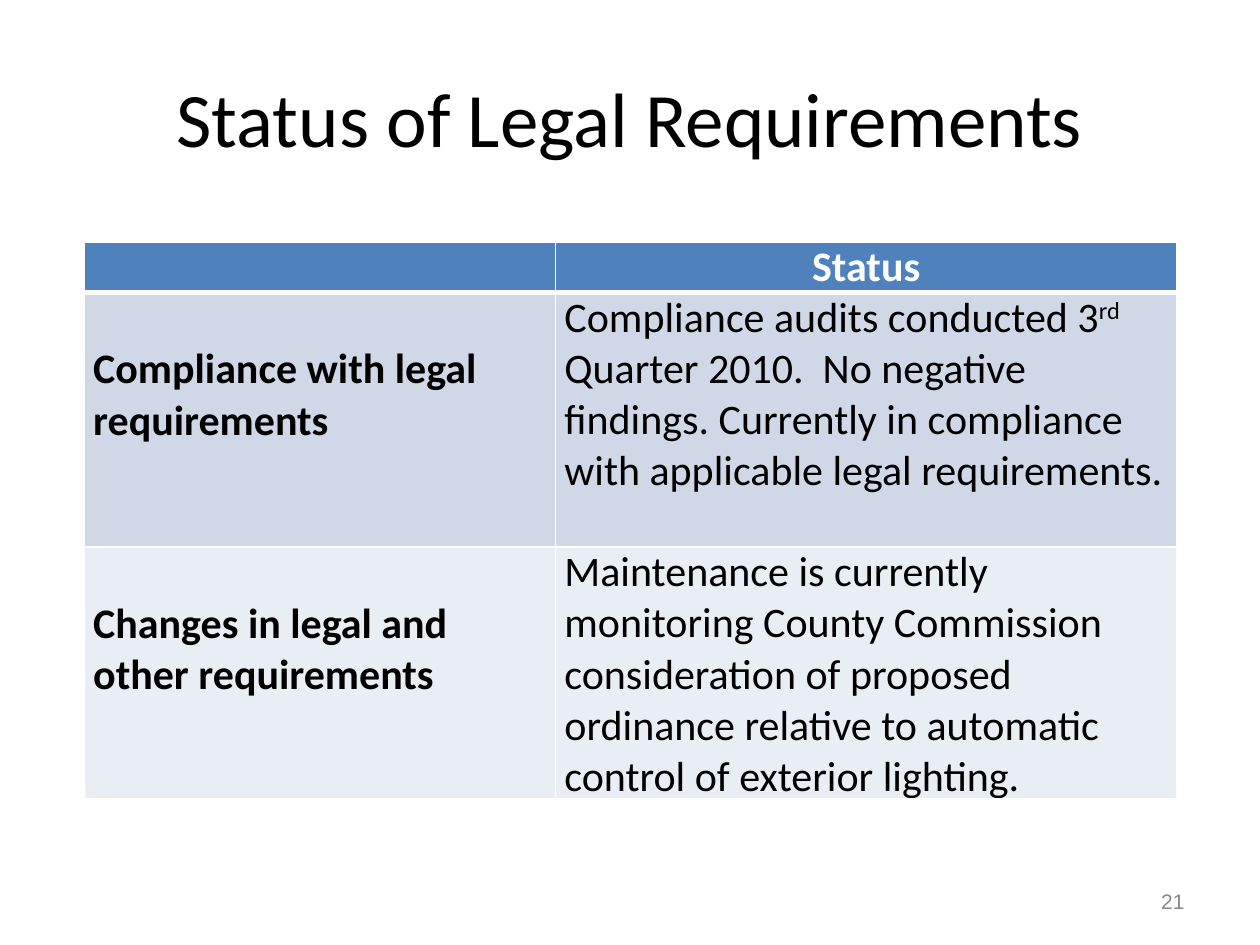
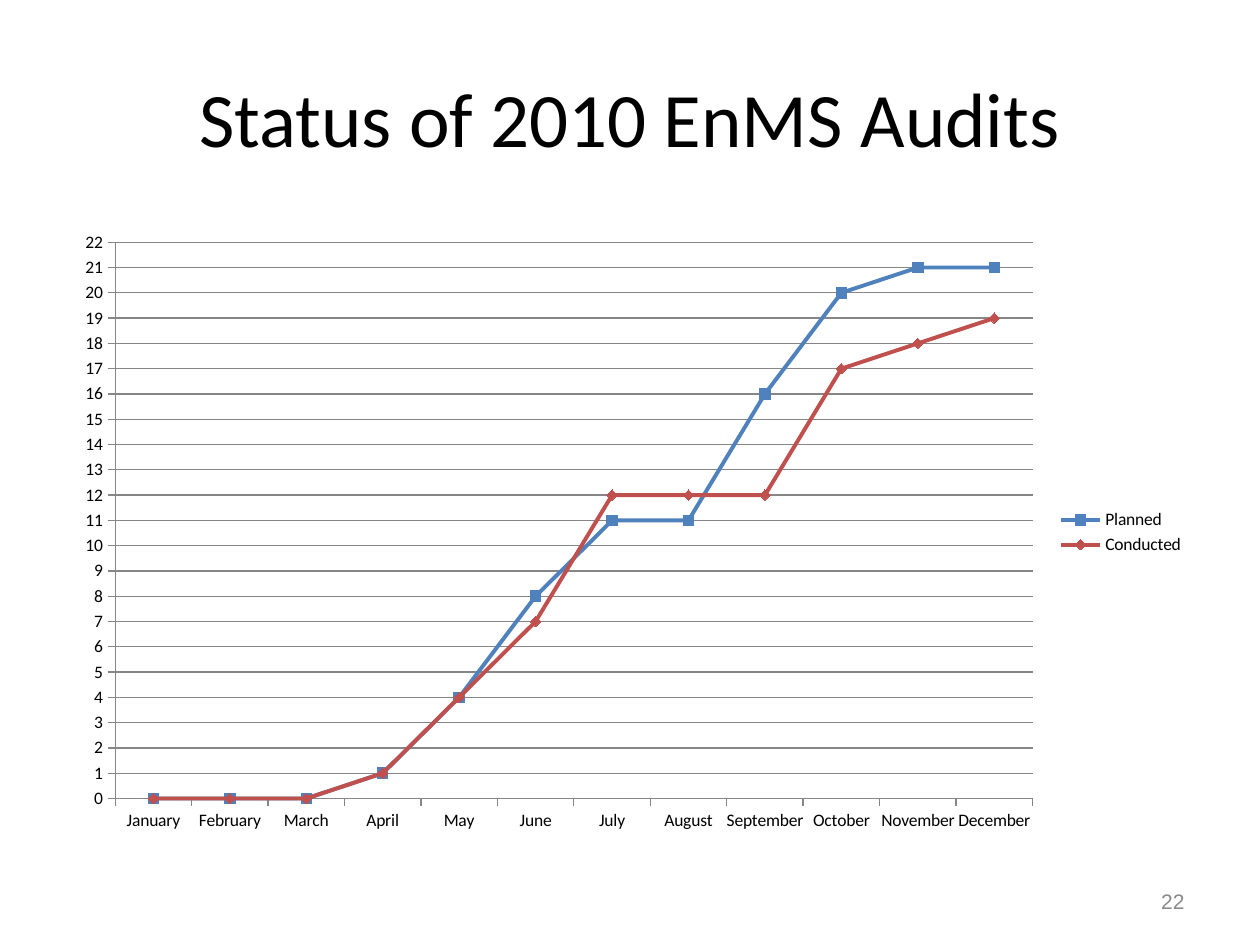
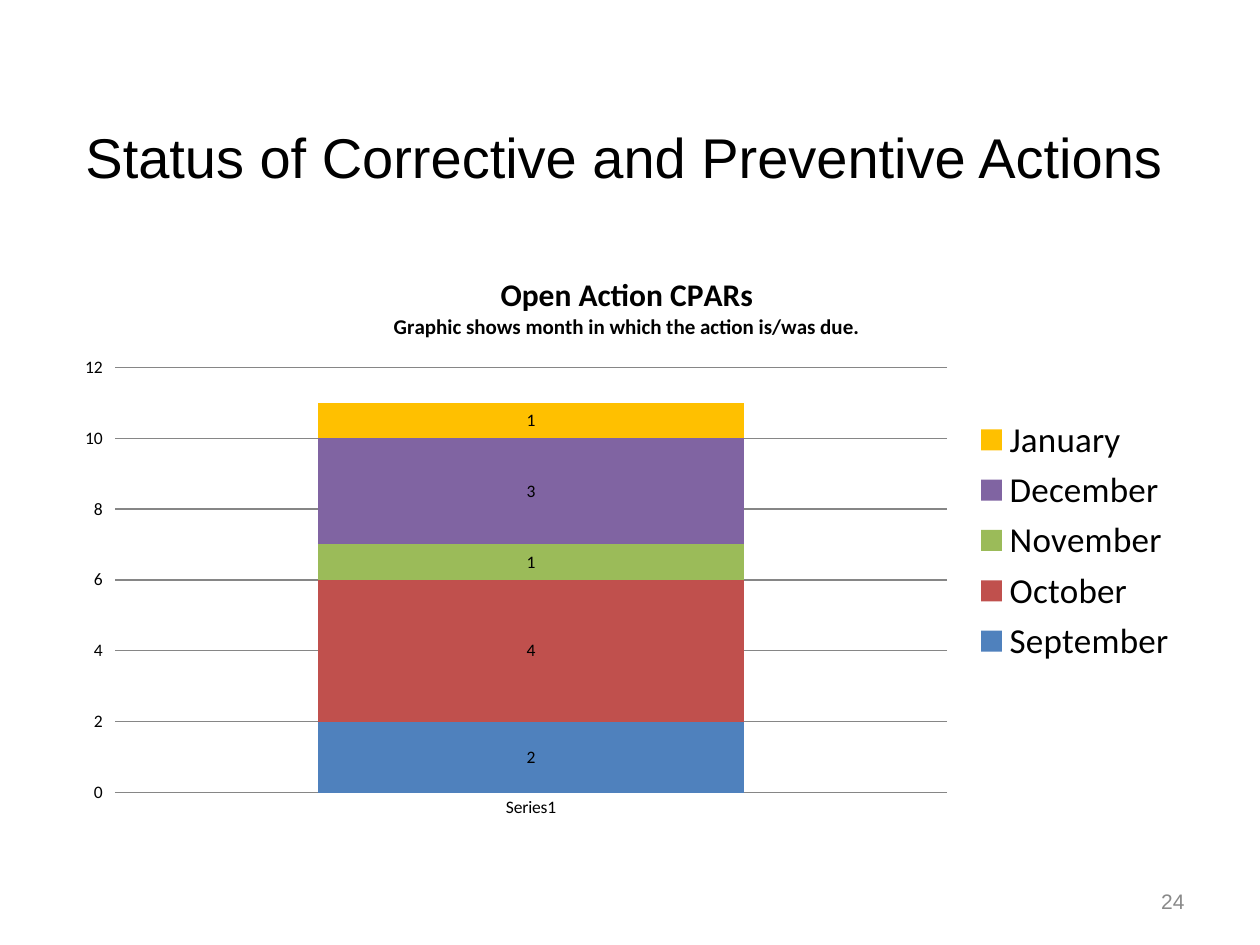
from dataclasses import dataclass

from lxml.etree import SubElement
from pptx import Presentation
from pptx.chart.data import CategoryChartData
from pptx.dml.color import RGBColor
from pptx.enum.chart import (XL_CHART_TYPE, XL_LABEL_POSITION, XL_LEGEND_POSITION,
                             XL_MARKER_STYLE, XL_TICK_MARK)
from pptx.enum.text import MSO_ANCHOR, PP_ALIGN
from pptx.oxml import parse_xml
from pptx.oxml.ns import nsdecls, qn
from pptx.util import Inches, Pt


# Theme
@dataclass(frozen=True)
class Theme:
    font: str = "Calibri"
    alt_font: str = "Arial"
    text: str = "000000"
    white: str = "FFFFFF"
    muted: str = "898989"
    grid: str = "868686"
    blue: str = "4F81BD"
    red: str = "C0504D"
    green: str = "9BBB59"
    purple: str = "8064A2"
    amber: str = "FFC000"
    bands: tuple = ("D0D8E8", "E9EDF4")
    title: int = 44
    small_title: int = 32
    table: int = 24
    legend: int = 20
    chart_title: int = 18
    footer: int = 12
    chart: int = 10


T = Theme()

# Content
LEGAL_TITLE = "Status of Legal Requirements"
LEGAL_HEADER = "Status"
LEGAL_ROWS = [  # label, status as (text, superscript) runs
    ("Compliance with legal requirements",
     [("Compliance audits conducted 3", False), ("rd", True),
      (" Quarter 2010.  No negative findings. Currently in compliance "
       "with applicable legal requirements.", False)]),
    ("Changes in legal and other requirements",
     [("Maintenance is currently monitoring County Commission consideration of "
       "proposed ordinance relative to automatic control of exterior lighting.", False)]),
]
COL_WIDTHS = (3.74, 4.93)
ROW_HEIGHTS = (0.4, 2.02, 2)

AUDIT_TITLE = "Status of 2010 EnMS Audits"
MONTHS = ["January", "February", "March", "April", "May", "June", "July",
          "August", "September", "October", "November", "December"]
AUDITS = [
    ("Planned", [0, 0, 0, 1, 4, 8, 11, 11, 16, 20, 21, 21], T.blue, XL_MARKER_STYLE.SQUARE),
    ("Conducted", [0, 0, 0, 1, 4, 7, 12, 12, 12, 17, 18, 19], T.red, XL_MARKER_STYLE.DIAMOND),
]

ACTION_TITLE = "Status of Corrective and Preventive Actions"
ACTION_CHART_TITLE = [
    ("Open Action CPARs", T.chart_title),
    ("Graphic shows month in which the action is/was due.", T.footer),
]
ACTIONS = [("September", 2, T.blue), ("October", 4, T.red), ("November", 1, T.green),
           ("December", 3, T.purple), ("January", 1, T.amber)]


# Helpers
def rgb(value):
    return RGBColor.from_string(value)


def set_font(font, size, color=T.text, name=T.font, bold=False):
    font.name, font.size, font.bold = name, Pt(size), bold
    font.color.rgb = rgb(color)


def add_text(slide, box, text, size, color=T.text, name=T.font, align=PP_ALIGN.CENTER,
             anchor=MSO_ANCHOR.MIDDLE, wrap=True):
    tf = slide.shapes.add_textbox(*map(Inches, box)).text_frame
    tf.word_wrap, tf.vertical_anchor = wrap, anchor
    p = tf.paragraphs[0]
    p.text, p.alignment = text, align
    set_font(p.font, size, color, name)


def add_title(slide, text):
    add_text(slide, (0.5, 0.3, 9, 1.25), text, T.title)


def add_slide(number):
    slide = prs.slides.add_slide(prs.slide_layouts[6])
    add_text(slide, (7.17, 6.95, 2.33, 0.4), str(number), T.footer, T.muted,
             T.alt_font, PP_ALIGN.RIGHT)
    return slide


def style_cell(cell, fill, top=1, bottom=1):
    tc_pr = cell._tc.get_or_add_tcPr()
    for side, width in (("L", 1), ("R", 1), ("T", top), ("B", bottom)):
        ln = SubElement(tc_pr, qn(f"a:ln{side}"), w=str(Pt(width)))
        SubElement(SubElement(ln, qn("a:solidFill")), qn("a:srgbClr"), val=T.white)
    cell.fill.solid()
    cell.fill.fore_color.rgb = rgb(fill)
    cell.margin_left = cell.margin_right = Inches(0.07)
    cell.margin_top = cell.margin_bottom = 0


def write_cell(cell, runs, color=T.text, bold=False):
    p = cell.text_frame.paragraphs[0]
    set_font(p.font, T.table, color, bold=bold)
    for text, raised in runs:
        r = p.add_run()
        r.text = text
        set_font(r.font, T.table, color, bold=bold)
        if raised:
            r._r.get_or_add_rPr().set("baseline", "30000")
    return p


def add_chart(slide, kind, box, categories, series, plot_box, top, step):
    data = CategoryChartData()
    data.categories = categories
    for name, values in series:
        data.add_series(name, values)
    chart = slide.shapes.add_chart(kind, *map(Inches, box), data).chart
    set_font(chart.font, T.chart)
    chart.has_title = False
    chart.has_legend = True
    chart.legend.position = XL_LEGEND_POSITION.RIGHT
    chart.legend.include_in_layout = False
    chart.plots[0].vary_by_categories = False

    axis = chart.value_axis
    axis.minimum_scale, axis.maximum_scale, axis.major_unit = 0, top, step
    axis.major_tick_mark = XL_TICK_MARK.OUTSIDE
    axis.has_major_gridlines = True
    for line in (axis.format.line, axis.major_gridlines.format.line,
                 chart.category_axis.format.line):
        line.color.rgb = rgb(T.grid)
        line.width = Pt(0.75)

    # Fixed inner plot area, as fractions of the chart
    area = chart._chartSpace.chart.plotArea
    for old in area.findall(qn("c:layout")):
        area.remove(old)
    parts = "".join(f'<c:{k} val="{v}"/>' for k, v in zip("xywh", plot_box))
    area.insert(0, parse_xml(
        f'<c:layout {nsdecls("c")}><c:manualLayout><c:layoutTarget val="inner"/>'
        f'<c:xMode val="edge"/><c:yMode val="edge"/>{parts}</c:manualLayout></c:layout>'))
    return chart


prs = Presentation()
prs.slide_width, prs.slide_height = Inches(10), Inches(7.5)

# Legal requirements: table
slide = add_slide(21)
add_title(slide, LEGAL_TITLE)
frame = slide.shapes.add_table(len(ROW_HEIGHTS), len(COL_WIDTHS), Inches(0.67), Inches(1.92),
                               Inches(sum(COL_WIDTHS)), Inches(sum(ROW_HEIGHTS)))
table = frame.table
for column, width in zip(table.columns, COL_WIDTHS):
    column.width = Inches(width)
for row, height in zip(table.rows, ROW_HEIGHTS):
    row.height = Inches(height)
for cell in table.rows[0].cells:
    style_cell(cell, T.blue, bottom=3)
write_cell(table.cell(0, 1), [(LEGAL_HEADER, False)], T.white, True).alignment = PP_ALIGN.CENTER
for i, (label, status) in enumerate(LEGAL_ROWS, 1):
    for cell in table.rows[i].cells:
        style_cell(cell, T.bands[i - 1], top=3 if i == 1 else 1)
    write_cell(table.cell(i, 0), [(label, False)], bold=True)
    table.cell(i, 0).margin_top = Inches(0.41)  # label starts on the second line
    write_cell(table.cell(i, 1), status)

# Audits: line chart
slide = add_slide(22)
add_title(slide, AUDIT_TITLE)
chart = add_chart(slide, XL_CHART_TYPE.LINE_MARKERS, (0.5, 1.75, 9, 4.95), MONTHS,
                  [a[:2] for a in AUDITS], (0.046, 0.035, 0.809, 0.892), 22, 1)
chart.category_axis.major_tick_mark = XL_TICK_MARK.OUTSIDE
for ser, (_, _, color, symbol) in zip(chart.plots[0].series, AUDITS):
    ser.smooth = False
    ser.format.line.color.rgb = rgb(color)
    ser.format.line.width = Pt(2.25)
    ser.marker.style, ser.marker.size = symbol, 6
    ser.marker.format.fill.solid()
    ser.marker.format.fill.fore_color.rgb = rgb(color)
    ser.marker.format.line.color.rgb = rgb(color)

# Corrective actions: stacked column chart
slide = add_slide(24)
add_text(slide, (0.58, 0.92, 8.82, 0.64), ACTION_TITLE, T.small_title, name=T.alt_font,
         align=PP_ALIGN.LEFT, anchor=MSO_ANCHOR.TOP, wrap=False)
chart = add_chart(slide, XL_CHART_TYPE.COLUMN_STACKED, (0.5, 2, 8.95, 4.58), ["Series1"],
                  [(name, [value]) for name, value, _ in ACTIONS],
                  (0.046, 0.2, 0.738, 0.737), 12, 2)
chart.category_axis.major_tick_mark = XL_TICK_MARK.NONE
chart.value_axis.format.line.fill.background()
set_font(chart.legend.font, T.legend)
tf = chart.chart_title.text_frame
chart.chart_title.include_in_layout = False
for i, (text, size) in enumerate(ACTION_CHART_TITLE):
    p = tf.add_paragraph() if i else tf.paragraphs[0]
    r = p.add_run()
    r.text = text
    for font in (p.font, r.font):
        set_font(font, size, bold=True)
plot = chart.plots[0]
plot.gap_width, plot.overlap = 95, 100
for ser, (_, _, color) in zip(plot.series, ACTIONS):
    ser.format.fill.solid()
    ser.format.fill.fore_color.rgb = rgb(color)
    labels = ser.data_labels
    labels.show_value = True
    labels.position = XL_LABEL_POSITION.CENTER
    set_font(labels.font, T.chart)

prs.save("out.pptx")
